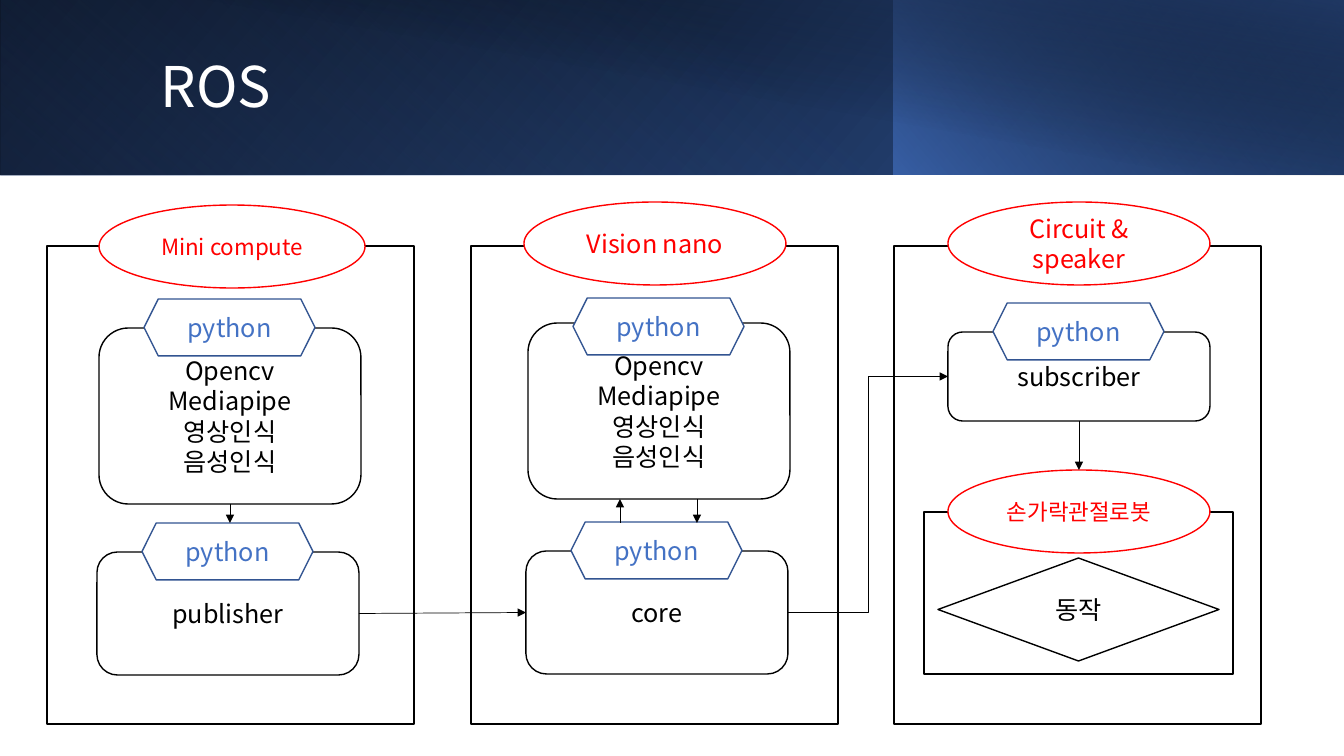
import pptx
import pptx.util
import pptx.dml.color
import pptx.enum.shapes
import pptx.enum.text
import pptx.oxml.ns
from lxml import etree

PX = 914400 / 100.8
FONT = "Noto Sans CJK KR"
BLACK, WHITE, RED = "000000", "FFFFFF", "FF0000"
BLUE, NAVY, HEX_LINE = "4472C4", "203864", "325491"
SHAPE = pptx.enum.shapes.MSO_SHAPE
CONNECTOR = pptx.enum.shapes.MSO_CONNECTOR
ALIGN = pptx.enum.text.PP_ALIGN
qn = pptx.oxml.ns.qn


def px(*lengths):
    return [pptx.util.Emu(round(length * PX)) for length in lengths]


def color(code):
    return pptx.dml.color.RGBColor.from_string(code)


def write(shape, text, size=18, ink=BLACK, align=ALIGN.CENTER, spacing=None):
    frame = shape.text_frame
    frame.word_wrap = True
    frame.vertical_anchor = pptx.enum.text.MSO_ANCHOR.MIDDLE
    for number, line in enumerate(text.split("\n")):
        para = frame.add_paragraph() if number else frame.paragraphs[0]
        para.alignment = align
        if spacing:
            para.line_spacing = spacing
        span = para.add_run()
        span.text = line
        span.font.size = pptx.util.Pt(size)
        span.font.name = FONT
        span.font.color.rgb = color(ink)
        east_asian = etree.SubElement(span.font._element, qn("a:ea"))
        east_asian.set("typeface", FONT)


def add_box(page, kind, place, line=BLACK, fill=None, text="", **style):
    box = page.shapes.add_shape(kind, *px(*place))
    box.shadow.inherit = False
    if fill:
        box.fill.solid()
        box.fill.fore_color.rgb = color(fill)
    else:
        box.fill.background()
    box.line.color.rgb = color(line)
    box.line.width = pptx.util.Pt(1)
    if text:
        write(box, text, **style)
    return box


def add_gradient(page, place, stops, angle, flip=True, rotation=0):
    band = page.shapes.add_shape(SHAPE.RECTANGLE, *px(*place))
    band.shadow.inherit = False
    band.rotation = rotation
    band.line.fill.background()
    band.fill.gradient()
    band.fill.gradient_angle = 360 - angle
    for stop, (position, code, _) in zip(band.fill.gradient_stops, stops):
        stop.position = position / 100
        stop.color.rgb = color(code)
    properties = band._element.spPr
    codes = properties.find(qn("a:gradFill")).iter(qn("a:srgbClr"))
    for element, (_, _, opacity) in zip(codes, stops):
        if opacity < 100:
            etree.SubElement(element, qn("a:alpha")).set("val", str(opacity * 1000))
    if flip:
        properties.find(qn("a:xfrm")).set("flipH", "1")


def add_device(page, x, y, width, text, size=18):
    return add_box(page, SHAPE.OVAL, (x, y, width, 83), RED, WHITE, text,
                   size=size, ink=RED)


def add_stage(page, x, y, height, text, tag_rise=29):
    stage = add_box(page, SHAPE.ROUNDED_RECTANGLE, (x, y, 262, height),
                    fill=WHITE, text=text)
    add_box(page, SHAPE.HEXAGON, (x + 45, y - tag_rise, 171, 57), HEX_LINE,
            WHITE, "python", ink=BLUE)
    return stage


def add_arrow(page, start=(0, 0), end=(0, 0), source=None, target=None,
              kind=CONNECTOR.STRAIGHT):
    arrow = page.shapes.add_connector(kind, *px(*start, *end))
    if source:
        arrow.begin_connect(*source)
    if target:
        arrow.end_connect(*target)
    arrow.line.color.rgb = color(BLACK)
    arrow.line.width = pptx.util.Pt(0.5)
    head = etree.SubElement(arrow.line._get_or_add_ln(), qn("a:tailEnd"))
    head.set("type", "triangle")
    etree.SubElement(arrow._element.spPr, qn("a:effectLst"))


def add_header(page):
    add_gradient(page, (0, 0, 1344, 175),
                 [(0, BLACK, 100), (100, "2F5597", 100)], 140)
    add_gradient(page, (0, 0, 895, 175),
                 [(20, BLUE, 0), (100, NAVY, 55)], 230, rotation=180)
    add_gradient(page, (894, 0, 450, 175),
                 [(0, BLUE, 66), (100, BLACK, 30)], 220)
    add_gradient(page, (50, 0, 1294, 176),
                 [(50, BLACK, 0), (99, NAVY, 52)], 280, flip=False)
    title = page.shapes.add_textbox(*px(151, 32, 1091, 114))
    write(title, "ROS", size=40, ink=WHITE, align=ALIGN.LEFT, spacing=0.9)


def main():
    deck = pptx.Presentation()
    deck.slide_width, deck.slide_height = px(1344, 756)
    page = deck.slides.add_slide(deck.slide_layouts[6])
    add_header(page)

    for x in (47, 471, 894):
        add_box(page, SHAPE.RECTANGLE, (x, 246, 367, 478))
    add_box(page, SHAPE.RECTANGLE, (924, 512, 309, 162))

    add_device(page, 99, 205, 266, "Mini compute", size=16)
    add_device(page, 524, 202, 262, "Vision nano")
    add_device(page, 948, 202, 262, "Circuit & speaker")
    robot = add_device(page, 948, 470, 262, "손가락관절로봇", size=16)

    recognition = "Opencv\nMediapipe\n영상인식\n음성인식"
    sender = add_stage(page, 99, 328, 176, recognition)
    publisher = add_stage(page, 97, 552, 123, "publisher")
    core = add_stage(page, 526, 551, 123, "core")
    subscriber = add_stage(page, 948, 332, 89, "subscriber")
    add_stage(page, 528, 323, 176, recognition, tag_rise=25)

    add_arrow(page, end=(230, 523), source=(sender, 2))
    add_arrow(page, source=(publisher, 3), target=(core, 1))
    add_arrow(page, (620, 523), (620, 499))
    add_arrow(page, (697, 499), (697, 523))
    add_arrow(page, source=(core, 3), target=(subscriber, 1),
              kind=CONNECTOR.ELBOW)
    add_arrow(page, source=(subscriber, 2), target=(robot, 0))
    add_box(page, SHAPE.DIAMOND, (938, 558, 281, 103), text="동작")

    deck.save("out.pptx")


if __name__ == "__main__":
    main()
